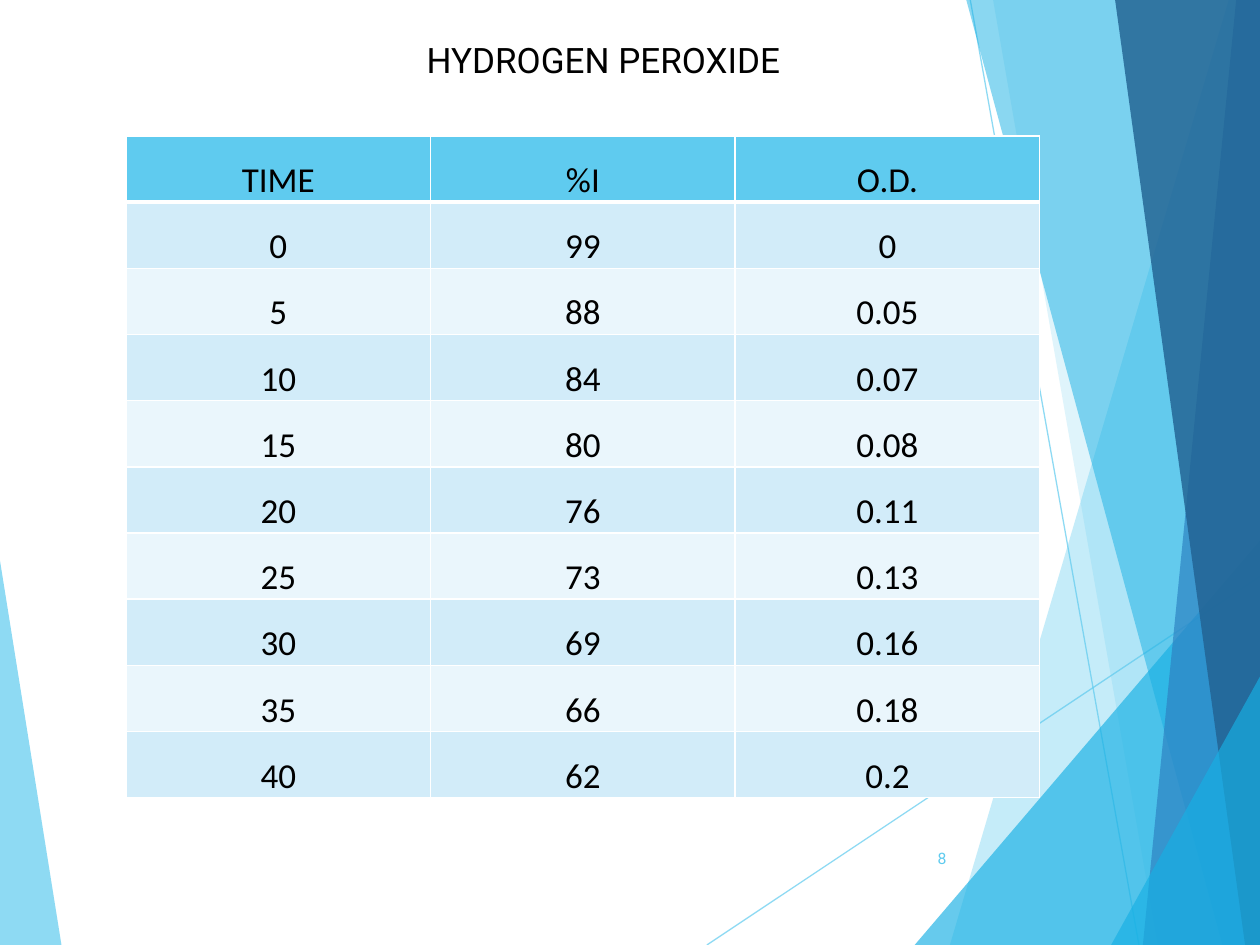
import pptx
import pptx.util
import pptx.dml.color
import pptx.enum.shapes
import pptx.enum.text
import pptx.oxml
import pptx.oxml.ns
from lxml import etree

Cm = pptx.util.Cm
Pt = pptx.util.Pt
RGBColor = pptx.dml.color.RGBColor
Align = pptx.enum.text.PP_ALIGN
Anchor = pptx.enum.text.MSO_ANCHOR
qn = pptx.oxml.ns.qn

SKY = RGBColor(0x5F, 0xCB, 0xEF)
CYAN = RGBColor(0x17, 0xB0, 0xE4)
BLUE = RGBColor(0x2E, 0x83, 0xC3)
NAVY = RGBColor(0x22, 0x62, 0x92)
PALE = RGBColor(0xD2, 0xEC, 0xF9)
MIST = RGBColor(0xEA, 0xF6, 0xFC)
WHITE = RGBColor(0xFF, 0xFF, 0xFF)
BLACK = RGBColor(0, 0, 0)

WIDE, HIGH = 25.4, 19.05

SHARDS = [
    (SKY, 36, [(24.77, 0), (19.15, HIGH), (WIDE, HIGH), (WIDE, 0)]),
    (SKY, 20, [(20.02, 0), (23.34, HIGH), (WIDE, HIGH), (WIDE, 0)]),
    (CYAN, 66, [(18.44, HIGH), (WIDE, 10.9), (WIDE, HIGH)]),
    (CYAN, 50, [(19.48, 0), (24.64, HIGH), (WIDE, HIGH), (WIDE, 0)]),
    (BLUE, 70, [(24.92, 0), (23.04, HIGH), (WIDE, HIGH), (WIDE, 0)]),
    (NAVY, 82, [(22.48, 0), (25.1, HIGH), (WIDE, HIGH), (WIDE, 0)]),
    (CYAN, 66, [(22.4, HIGH), (WIDE, 13.64), (WIDE, HIGH)]),
]

HEAD = ["TIME", "%I", "O.D."]
LIGHT = [99, 88, 84, 80, 76, 73, 69, 66, 62]
DENSE = [0, 0.05, 0.07, 0.08, 0.11, 0.13, 0.16, 0.18, 0.2]


class Deck:
    font = "Roboto"
    grid = "Calibri"
    size = 20

    def __init__(self, slide):
        self.slide = slide
        self.shapes = slide.shapes

    def fade(self, shape, alpha):
        for tint in shape._element.spPr.iter(qn("a:srgbClr")):
            etree.SubElement(tint, qn("a:alpha"), val=str(alpha * 1000))

    def shard(self, color, alpha, points):
        spots = [(Cm(x), Cm(y)) for x, y in points]
        pen = self.shapes.build_freeform(*spots[0])
        pen.add_line_segments(spots[1:], close=True)
        shape = pen.convert_to_shape()
        shape.shadow.inherit = False
        shape.fill.solid()
        shape.fill.fore_color.rgb = color
        shape.line.fill.background()
        self.fade(shape, alpha)

    def line(self, start, end):
        kind = pptx.enum.shapes.MSO_CONNECTOR.STRAIGHT
        ends = [Cm(v) for v in start + end]
        line = self.shapes.add_connector(kind, *ends)
        line.line.color.rgb = SKY
        line.line.width = Pt(0.75)
        self.fade(line, 70)
        etree.SubElement(line._element.spPr, qn("a:effectLst"))

    def label(self, frame, text, align, size, color, font):
        part = frame.paragraphs[0]
        part.alignment = align
        run = part.add_run()
        run.text = text
        run.font.name = font
        run.font.size = Pt(size)
        run.font.bold = False
        run.font.color.rgb = color

    def title(self, text, box):
        shape = self.shapes.title
        shape.left, shape.top, shape.width, shape.height = map(Cm, box)
        shape.text_frame.vertical_anchor = Anchor.MIDDLE
        self.label(shape.text_frame, text, Align.CENTER, self.size, BLACK, self.font)

    def text(self, text, box):
        frame = self.shapes.add_textbox(*map(Cm, box)).text_frame
        frame.word_wrap = True
        frame.vertical_anchor = Anchor.MIDDLE
        self.label(frame, text, Align.RIGHT, 9, SKY, self.font)

    def edge(self, cell, side, width):
        rule = etree.SubElement(cell._tc.get_or_add_tcPr(), qn("a:ln" + side), w=str(Pt(width)))
        fill = etree.SubElement(rule, qn("a:solidFill"))
        etree.SubElement(fill, qn("a:srgbClr"), val=str(WHITE))

    def cell(self, cell, text, row):
        cell.margin_left = cell.margin_right = cell.margin_top = Cm(0.03)
        cell.margin_bottom = 0
        cell.vertical_anchor = Anchor.BOTTOM
        thick = {"T": 1, "B": 0}
        for side in "LRTB":
            self.edge(cell, side, 3 if thick.get(side) == row else 1)
        cell.fill.solid()
        cell.fill.fore_color.rgb = SKY if row == 0 else PALE if row % 2 else MIST
        self.label(cell.text_frame, text, Align.CENTER, self.size, BLACK, self.grid)

    def table(self, rows, box):
        table = self.shapes.add_table(len(rows), len(rows[0]), *map(Cm, box)).table
        table.first_row = table.horz_banding = False
        for r, row in enumerate(rows):
            for c, value in enumerate(row):
                self.cell(table.cell(r, c), str(value), r)


def main():
    show = pptx.Presentation()
    show.slide_width, show.slide_height = Cm(WIDE), Cm(HIGH)
    deck = Deck(show.slides.add_slide(show.slide_layouts[5]))
    deck.shard(SKY, 70, [(0, 11.3), (1.24, HIGH), (0, HIGH)])
    deck.line((14.25, HIGH), (WIDE, 11.62))
    deck.line((19.56, 0), (22.96, HIGH))
    for shard in SHARDS:
        deck.shard(*shard)
    deck.text("8", (17.91, 16.79, 1.42, 1.02))
    deck.title("HYDROGEN PEROXIDE", (6.55, 0.64, 11.23, 1.12))
    rows = [HEAD, *zip(range(0, 45, 5), LIGHT, DENSE)]
    deck.table(rows, (2.54, 2.74, 18.42, 13.34))
    show.save("out.pptx")


if __name__ == "__main__":
    main()
